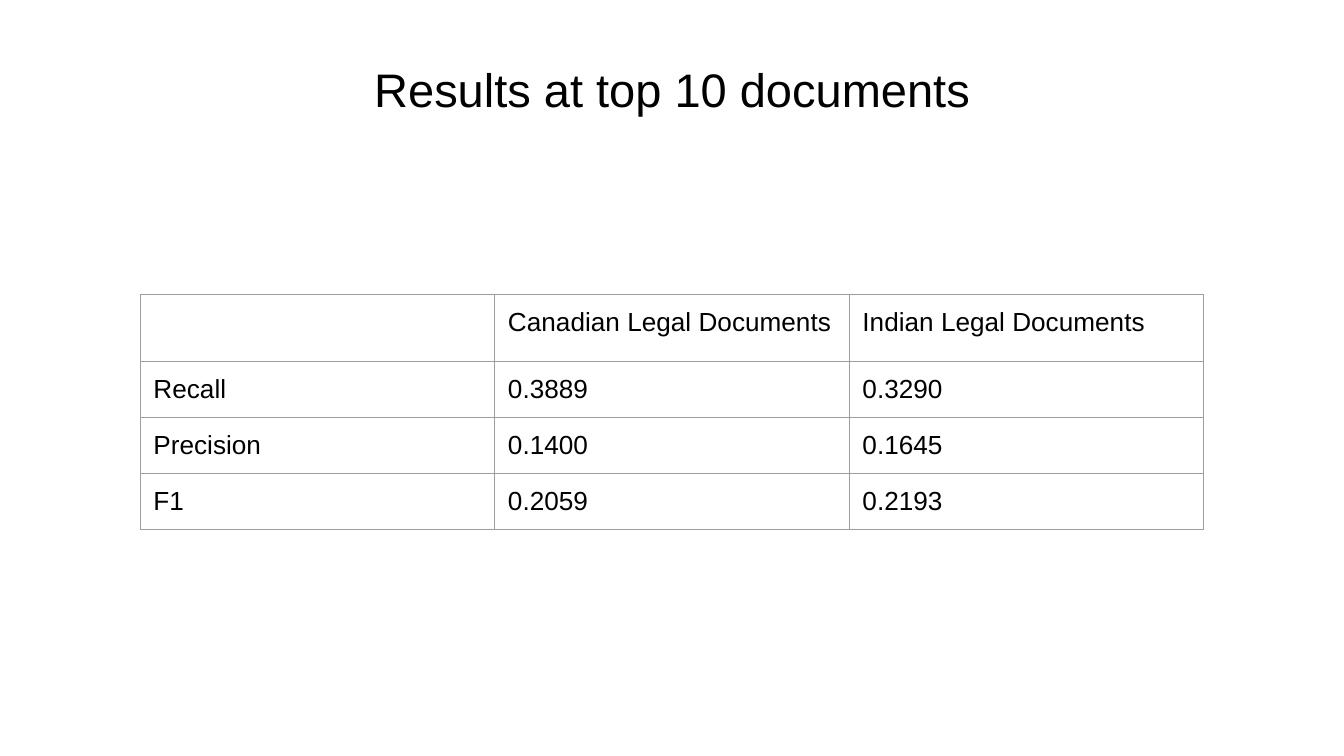
"""Build a slide with a table of retrieval results for two document collections."""
from lxml import etree
from pptx import Presentation
from pptx.dml.color import RGBColor
from pptx.enum.text import MSO_ANCHOR, PP_ALIGN
from pptx.oxml.ns import qn
from pptx.util import Cm, Pt

CENTER = PP_ALIGN.CENTER
TOP = MSO_ANCHOR.TOP
BLACK = RGBColor(0x00, 0x00, 0x00)
GREY = RGBColor(0x9E, 0x9E, 0x9E)
FONT = "Arial"
INSET = Cm(0.25)
COLUMN_WIDTH = Cm(6.7)
HEADER_HEIGHT = Cm(1.22)
ROW_HEIGHT = Cm(1.06)
RESULTS = [
    ("", "Canadian Legal Documents", "Indian Legal Documents"),
    ("Recall", "0.3889", "0.3290"),
    ("Precision", "0.1400", "0.1645"),
    ("F1", "0.2059", "0.2193"),
]


def format_text(text_frame, size):
    for paragraph in text_frame.paragraphs:
        for run in paragraph.runs:
            run.font.name = FONT
            run.font.size = Pt(size)
            run.font.color.rgb = BLACK


def add_borders(cell):
    properties = cell._tc.get_or_add_tcPr()
    for index, side in enumerate(("lnL", "lnR", "lnT", "lnB")):
        line = etree.Element(qn(f"a:{side}"), w=str(Pt(0.75)))
        fill = etree.SubElement(line, qn("a:solidFill"))
        etree.SubElement(fill, qn("a:srgbClr"), val=str(GREY))
        properties.insert(index, line)


presentation = Presentation()
presentation.slide_width = Cm(25.4)
presentation.slide_height = Cm(14.29)
slide = presentation.slides.add_slide(presentation.slide_layouts[5])

title = slide.shapes.title
title.left, title.top, title.width, title.height = Cm(0.87), Cm(0.89), Cm(23.67), Cm(1.6)
title_frame = title.text_frame
title_frame.text = "Results at top 10 documents"
title_frame.word_wrap = True
title_frame.vertical_anchor = TOP
title_frame.margin_left = title_frame.margin_right = INSET
title_frame.margin_top = title_frame.margin_bottom = INSET
title_frame.paragraphs[0].alignment = CENTER
format_text(title_frame, 25.2)

table_shape = slide.shapes.add_table(
    len(RESULTS), len(RESULTS[0]), Cm(2.65), Cm(5.56),
    COLUMN_WIDTH * len(RESULTS[0]), HEADER_HEIGHT + ROW_HEIGHT * (len(RESULTS) - 1),
)
table = table_shape.table
table.first_row = False
table.horz_banding = False
for column in table.columns:
    column.width = COLUMN_WIDTH
for row_index, values in enumerate(RESULTS):
    table.rows[row_index].height = ROW_HEIGHT if row_index else HEADER_HEIGHT
    for column_index, value in enumerate(values):
        cell = table.cell(row_index, column_index)
        cell.margin_left = cell.margin_right = INSET
        cell.margin_top = cell.margin_bottom = INSET
        cell.vertical_anchor = TOP
        cell.fill.background()
        add_borders(cell)
        if value:
            cell.text_frame.text = value
            format_text(cell.text_frame, 14)

presentation.save("out.pptx")
